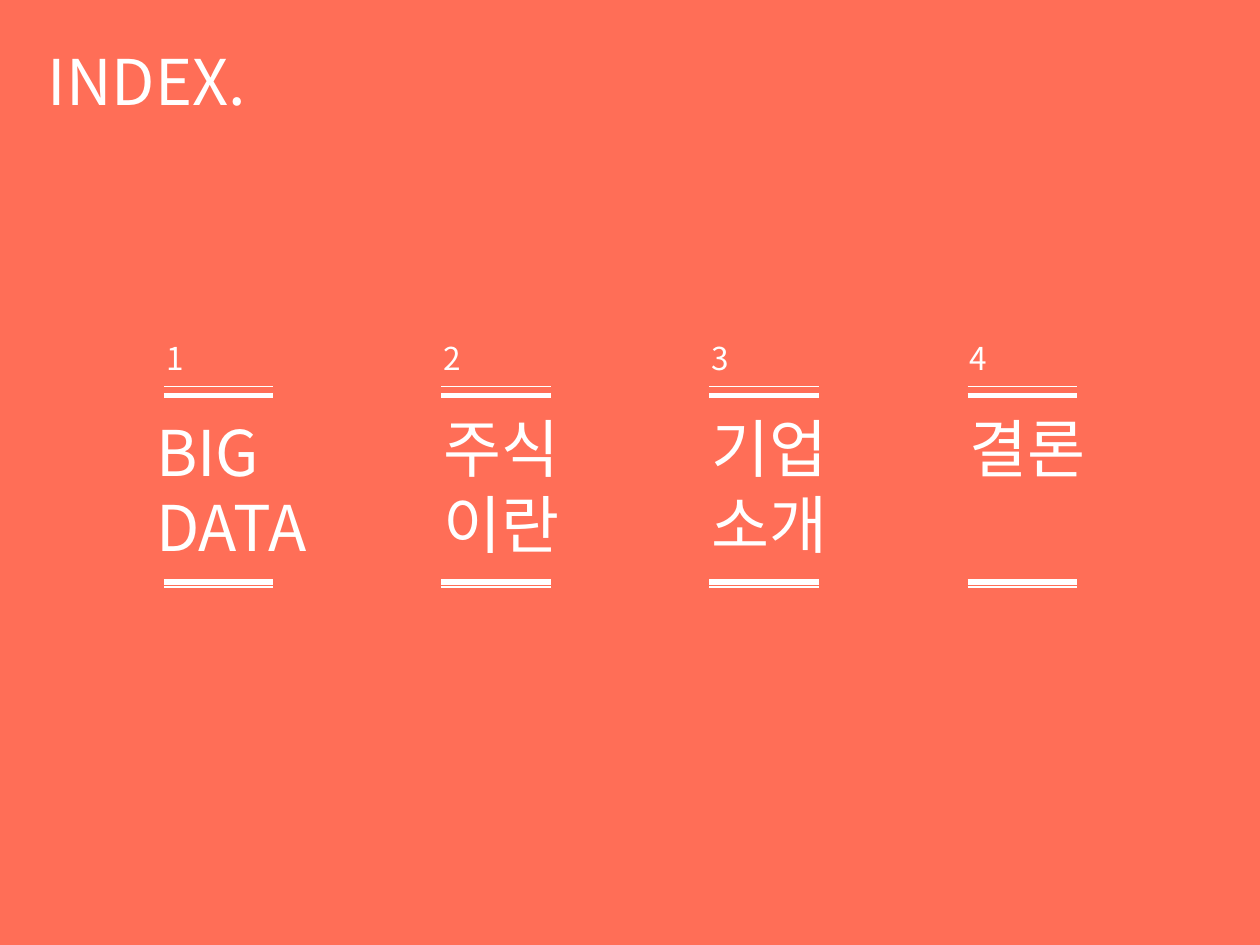
from dataclasses import dataclass

from lxml.etree import SubElement
from pptx import Presentation
from pptx.dml.color import RGBColor
from pptx.enum.shapes import MSO_CONNECTOR, MSO_SHAPE
from pptx.enum.text import MSO_ANCHOR, MSO_AUTO_SIZE, PP_ALIGN
from pptx.oxml.ns import qn
from pptx.shapes.autoshape import Shape
from pptx.slide import Slide
from pptx.util import Inches, Pt

CORAL = RGBColor(0xFF, 0x6E, 0x57)
WHITE = RGBColor(0xFF, 0xFF, 0xFF)
FONT = "Noto Sans CJK KR"

# Column measures in inches, relative to the left end of the rules
RULE_LENGTH = 0.87
TEXT_INDENT = 0.08
TEXT_WIDTH = 1.26
NUMBER_TOP = 2.64
RULES = ((3.07, 0.75), (3.14, 3), (4.62, 3), (4.66, 0.75))  # top, points


@dataclass(frozen=True)
class Chapter:
    left: float
    lines: tuple[str, ...]
    top: float = 3.2
    width: float = TEXT_WIDTH
    indent: float = TEXT_INDENT


CHAPTERS = (
    Chapter(1.3, ("BIG", "DATA"), top=3.23, width=1.65, indent=0.16),
    Chapter(3.5, ("주식", "이란")),
    Chapter(5.63, ("기업", "소개")),
    Chapter(7.68, ("결론",)),
)


def write_text(shape: Shape, text: str, size: float) -> None:
    """Fill a shape with white, left-aligned text."""
    frame = shape.text_frame
    frame.text = text
    frame.word_wrap = True
    frame.auto_size = MSO_AUTO_SIZE.SHAPE_TO_FIT_TEXT
    frame.vertical_anchor = MSO_ANCHOR.TOP
    for paragraph in frame.paragraphs:
        paragraph.alignment = PP_ALIGN.LEFT
        for run in paragraph.runs:
            run.font.size = Pt(size)
            run.font.name = FONT
            run.font.color.rgb = WHITE
            # Hangul takes its typeface from the East Asian font
            SubElement(run._r.get_or_add_rPr(), qn("a:ea"), typeface=FONT)


def add_text(slide: Slide, left: float, top: float, width: float,
             height: float, text: str, size: float) -> None:
    box = slide.shapes.add_textbox(
        Inches(left), Inches(top), Inches(width), Inches(height))
    write_text(box, text, size)


def add_rule(slide: Slide, left: float, top: float, weight: float) -> None:
    rule = slide.shapes.add_connector(
        MSO_CONNECTOR.STRAIGHT, Inches(left), Inches(top),
        Inches(left + RULE_LENGTH), Inches(top))
    rule.line.color.rgb = WHITE
    rule.line.width = Pt(weight)
    SubElement(rule._element.spPr, qn("a:effectLst"))


def add_chapter(slide: Slide, number: int, chapter: Chapter) -> None:
    height = 0.71 if len(chapter.lines) == 1 else 1.31
    add_text(slide, chapter.left - chapter.indent, chapter.top,
             chapter.width, height, "\n".join(chapter.lines), 36)
    for top, weight in RULES:
        add_rule(slide, chapter.left, top, weight)
    add_text(slide, chapter.left - TEXT_INDENT, NUMBER_TOP,
             TEXT_WIDTH, 0.4, str(number), 18)


def main() -> None:
    presentation = Presentation()
    presentation.slide_width = Inches(10)
    presentation.slide_height = Inches(7.5)
    slide = presentation.slides.add_slide(presentation.slide_layouts[5])

    # Title
    title = slide.shapes.title
    title.left, title.top = Inches(0.28), Inches(0.29)
    title.width, title.height = Inches(3.39), Inches(0.71)
    write_text(title, "INDEX.", 36)

    # Coral backdrop, placed behind the title
    backdrop = slide.shapes.add_shape(
        MSO_SHAPE.RECTANGLE, 0, 0,
        presentation.slide_width, presentation.slide_height)
    backdrop.shadow.inherit = False
    backdrop.fill.solid()
    backdrop.fill.fore_color.rgb = CORAL
    backdrop.line.fill.background()
    title.element.addprevious(backdrop.element)

    # Numbered chapters
    for number, chapter in enumerate(CHAPTERS, start=1):
        add_chapter(slide, number, chapter)

    presentation.save("out.pptx")


if __name__ == "__main__":
    main()
